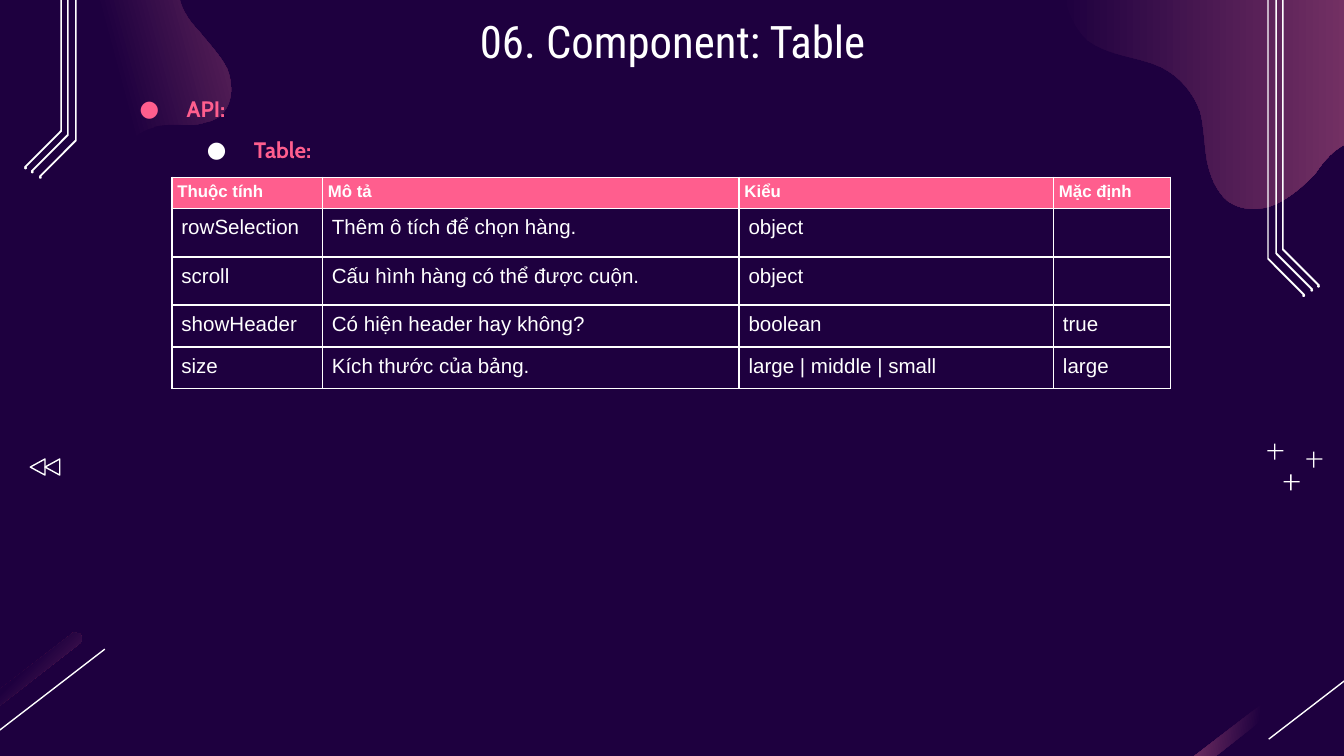
import pptx
import pptx.util
import pptx.oxml
import pptx.oxml.ns
import pptx.dml.color
import pptx.enum.shapes
import pptx.enum.text
from lxml import etree

Inches, Pt = pptx.util.Inches, pptx.util.Pt
qn = pptx.oxml.ns.qn
KIND = pptx.enum.shapes.MSO_SHAPE

THEME = {
    "back": "1E003F", "white": "FFFFFF", "pink": "FF5E8E", "glow": "A64D79",
    "title": ("Roboto Condensed", 24), "list": ("Cabin", 12),
    "head": ("Arial", 9), "body": ("Arial", 11), "line": 0.75, "border": 1,
}

TITLE = "06. Component: Table"
BULLETS = [("API:", "pink"), ("Table:", "white")]  # text, bullet colour
ROWS = [
    ("Thuộc tính", "Mô tả", "Kiểu", "Mặc định"),
    ("rowSelection", "Thêm ô tích để chọn hàng.", "object", ""),
    ("scroll", "Cấu hình hàng có thể được cuộn.", "object", ""),
    ("showHeader", "Có hiện header hay không?", "boolean", "true"),
    ("size", "Kích thước của bảng.", "large | middle | small", "large"),
]
WIDTHS = [1.12, 3.1, 2.34, 0.87]
HEIGHTS = [0.22, 0.36, 0.36, 0.31, 0.31]

# Outlines: a start point, then (x, y) for lines and six numbers for curves
LEFT_BLOB = [
    (0.48, 1.9), (0.74, 1.83, 0.86, 1.69, 0.9, 1.65),
    (0.98, 1.56, 1.01, 1.43, 0.99, 1.31), (0.98, 1.24, 0.95, 1.17, 0.97, 1.11),
    (0.98, 1.02, 1.06, 0.97, 1.14, 0.95), (1.15, 0.94, 1.15, 0.94, 1.16, 0.94),
    (1.24, 0.92, 1.33, 0.93, 1.42, 0.93), (1.46, 0.93, 1.5, 0.92, 1.53, 0.91),
    (1.58, 0.9, 1.63, 0.88, 1.66, 0.84), (1.74, 0.75, 1.73, 0.61, 1.69, 0.51),
    (1.64, 0.41, 1.55, 0.32, 1.48, 0.23), (1.4, 0.15, 1.33, 0.04, 1.33, -0.07),
    (1.33, -0.16, 1.36, -0.25, 1.43, -0.31), (1.47, -0.35, 1.53, -0.38, 1.59, -0.39),
    (1.68, -0.42, 1.79, -0.42, 1.9, -0.41), (2.01, -0.41, 2.12, -0.4, 2.23, -0.42),
    (2.25, -0.43, 2.26, -0.43, 2.28, -0.43), (2.37, -0.46, 2.46, -0.51, 2.52, -0.58),
    (2.59, -0.66, 2.61, -0.78, 2.58, -0.87), (2.56, -1.05, 2.44, -1.25, 2.33, -1.34),
    (2.15, -1.5, 1.9, -1.55, 1.67, -1.51), (1.66, -1.5, 1.65, -1.5, 1.64, -1.5),
    (1.29, -1.4, 1.03, -1.1, 0.7, -0.95), (0.65, -0.93, 0.59, -0.91, 0.54, -0.9),
    (0.22, -0.81, -0.13, -0.85, -0.47, -0.82), (-0.62, -0.81, -0.77, -0.78, -0.91, -0.74),
    (-1.04, -0.71, -1.16, -0.67, -1.28, -0.61), (-1.45, -0.54, -1.62, -0.44, -1.74, -0.3),
    (-1.86, -0.17, -1.95, 0.02, -1.94, 0.22), (-1.93, 0.46, -1.76, 0.68, -1.56, 0.8),
    (-1.35, 0.93, -1.12, 0.97, -0.88, 0.99), (-0.74, 1.01, -0.6, 1.01, -0.46, 1.06),
    (-0.32, 1.1, -0.19, 1.19, -0.13, 1.33), (-0.08, 1.44, -0.08, 1.55, -0.03, 1.66),
    (0.06, 1.84, 0.29, 1.95, 0.47, 1.9),
]
RIGHT_BLOB = [
    (11.25, 0.38), (11.25, 0.13, 11.18, -0.13, 11.05, -0.35),
    (10.94, -0.54, 10.78, -0.7, 10.58, -0.77), (10.36, -0.85, 10.12, -0.81, 9.89, -0.84),
    (9.67, -0.87, 9.45, -0.97, 9.29, -1.13), (9.18, -1.23, 9.09, -1.35, 8.97, -1.41),
    (8.83, -1.48, 8.67, -1.46, 8.52, -1.43), (8.4, -1.4, 8.28, -1.36, 8.19, -1.29),
    (8.03, -1.17, 7.96, -0.97, 7.93, -0.78), (7.9, -0.65, 7.89, -0.51, 7.89, -0.38),
    (7.89, -0.31, 7.89, -0.24, 7.9, -0.18), (7.91, 0, 7.96, 0.18, 8.09, 0.3),
    (8.25, 0.42, 8.47, 0.42, 8.64, 0.5), (8.78, 0.57, 8.88, 0.69, 8.93, 0.83),
    (8.96, 0.94, 8.96, 1.07, 8.98, 1.19), (9, 1.3, 9.05, 1.43, 9.14, 1.5),
    (9.24, 1.57, 9.38, 1.57, 9.49, 1.52), (9.6, 1.47, 9.69, 1.39, 9.78, 1.3),
    (9.83, 1.23, 9.88, 1.16, 9.95, 1.11), (10.02, 1.06, 10.1, 1.03, 10.18, 1.06),
    (10.33, 1.1, 10.38, 1.3, 10.52, 1.38), (10.85, 1.57, 11.08, 1.12, 11.17, 0.88),
    (11.22, 0.72, 11.25, 0.55, 11.25, 0.38),
]
STREAK = [
    (0.56, 4.71), (0.57, 4.71, 0.59, 4.71, 0.6, 4.72), (0.61, 4.75, 0.61, 4.78, 0.59, 4.79),
    (-0.81, 5.88), (-0.84, 5.89, -0.87, 5.89, -0.88, 5.87),
    (-0.9, 5.85, -0.9, 5.82, -0.87, 5.8), (0.53, 4.72), (0.54, 4.71, 0.55, 4.7, 0.56, 4.71),
]
RADIAL = '<a:path path="circle"><a:fillToRect r="100000" b="100000"/></a:path>'
STREAKS = [(0, RADIAL), (9.53, 187)]  # shift, gradient
RAILS = [(9.54, 1.86), (9.49, 1.89), (9.43, 1.93)]  # x, y of the bend
PLUSES = [(9.6, 3.58), (9.77, 3.41), (9.48, 3.35)]
ARROWS = [0.22, 0.33]


def color(name):
    return pptx.dml.color.RGBColor.from_string(THEME[name])


def style(par, kind, bold=False, tint="white"):
    for run in par.runs:
        run.font.name, size = THEME[kind]
        run.font.size, run.font.bold = Pt(size), bold
        run.font.color.rgb = color(tint)


def pad(frame, side, top):
    frame.margin_left = frame.margin_right = Inches(side)
    frame.margin_top = frame.margin_bottom = Inches(top)


def paint(item):
    item.shadow.inherit = False
    item.fill.solid()
    item.fill.fore_color.rgb = color("white")
    item.line.fill.background()
    return item


def blend(item, stops, way):
    """Fill with a gradient; way is an angle or the XML of a radial path."""
    if not isinstance(way, str):
        way = f'<a:lin ang="{way * 60000}" scaled="0"/>'
    marks = "".join(f'<a:gs pos="{pos * 1000}"><a:srgbClr val="{THEME[name]}"/></a:gs>'
                    for pos, name in stops)
    grad = pptx.oxml.parse_xml(
        f'<a:gradFill {pptx.oxml.ns.nsdecls("a")} rotWithShape="1">'
        f"<a:gsLst>{marks}</a:gsLst>{way}</a:gradFill>")
    old = item._element.spPr.find(qn("a:solidFill"))
    old.getparent().replace(old, grad)


def trace(path, steps=8):
    """Turn lines and cubic curves into a list of points."""
    pts = [path[0]]
    for part in path[1:]:
        if len(part) == 2:
            pts.append(part)
            continue
        ctrl = [pts[-1], part[:2], part[2:4], part[4:]]
        for n in range(1, steps + 1):
            t = n / steps
            mix = ((1 - t) ** 3, 3 * t * (1 - t) ** 2, 3 * t * t * (1 - t), t ** 3)
            pts.append(tuple(sum(m * c[k] for m, c in zip(mix, ctrl)) for k in (0, 1)))
    return pts


def outline(shapes, pts):
    pts = [(Inches(x), Inches(y)) for x, y in pts]
    pen = shapes.build_freeform(*pts[0])
    pen.add_line_segments(pts[1:], close=True)
    return paint(pen.convert_to_shape())


def preset(shapes, kind, *box):
    return paint(shapes.add_shape(kind, *map(Inches, box)))


def decorate(shapes):
    fade = [(0, "back"), (50, "back"), (100, "glow")]
    blend(outline(shapes, trace(LEFT_BLOB)), [(0, "back"), (58, "back"), (100, "glow")], 345)
    blend(outline(shapes, trace(RIGHT_BLOB)), [(0, "back"), (100, "glow")], 0)
    for dx, way in STREAKS:
        blend(outline(shapes, [(x + dx, y) for x, y in trace(STREAK)]), fade, way)
        ends = (0.78 + dx, 4.83, -0.09 + dx, 5.5)
        line = shapes.add_connector(pptx.enum.shapes.MSO_CONNECTOR.STRAIGHT, *map(Inches, ends))
        line.line.color.rgb, line.line.width = color("white"), Pt(THEME["line"])
        etree.SubElement(line._element.spPr, qn("a:effectLst"))
    for flip, dy in ((False, 0), (True, -0.88)):  # left rails mirror the right ones
        for x, y in RAILS:
            pts = [(x + 0.01, -1.19), (x, -1.19), (x, y), (x + 0.27, y + 0.27),
                   (x + 0.28, y + 0.26), (x + 0.01, y - 0.01)]
            outline(shapes, [(10 - a if flip else a, b + dy) for a, b in pts])
            mid = 10 - x - 0.27 if flip else x + 0.27
            preset(shapes, KIND.OVAL, mid - 0.01, y + 0.26 + dy, 0.02, 0.02)
    for x, y in PLUSES:
        preset(shapes, KIND.RECTANGLE, x, y - 0.05, 0.01, 0.12)
        preset(shapes, KIND.RECTANGLE, x - 0.05, y, 0.12, 0.01)
    for x in ARROWS:
        item = preset(shapes, KIND.ISOSCELES_TRIANGLE, x, 3.42, 0.12, 0.11)
        item.rotation = 270
        item.fill.background()
        item.line.color.rgb, item.line.width = color("white"), Pt(THEME["line"])


def add_title(shapes):
    box = shapes.title
    box.left, box.top, box.width, box.height = map(Inches, (0.79, 0, 8.43, 0.63))
    frame = box.text_frame
    frame.text = TITLE
    pad(frame, 0.1, 0.1)
    frame.vertical_anchor = pptx.enum.text.MSO_ANCHOR.TOP
    frame.paragraphs[0].alignment = pptx.enum.text.PP_ALIGN.CENTER
    style(frame.paragraphs[0], "title")


def add_list(shapes):
    frame = shapes.add_textbox(*map(Inches, (0.79, 0.51, 8.12, 0.73))).text_frame
    frame.word_wrap = True
    pad(frame, 0.1, 0.1)
    frame.text = "\n".join(text for text, _ in BULLETS)
    for level, (par, (_, tint)) in enumerate(zip(frame.paragraphs, BULLETS)):
        par.level, par.line_spacing = level, 1.5
        prop = par._p.get_or_add_pPr()
        prop.set("marL", str(Inches(0.5 * (level + 1))))
        prop.set("indent", str(Inches(-0.35)))
        mark = etree.SubElement(prop, qn("a:buClr"))
        etree.SubElement(mark, qn("a:srgbClr"), val=THEME[tint])
        etree.SubElement(prop, qn("a:buFont"), typeface=THEME["list"][0])
        etree.SubElement(prop, qn("a:buChar"), char="●")
        style(par, "list", True, "pink")


def add_grid(shapes):
    box = map(Inches, (1.28, 1.32, sum(WIDTHS), sum(HEIGHTS)))
    grid = shapes.add_table(len(ROWS), len(WIDTHS), *box).table
    grid.first_row = grid.horz_banding = False
    for col, width in zip(grid.columns, WIDTHS):
        col.width = Inches(width)
    for r, row in enumerate(ROWS):
        grid.rows[r].height = Inches(HEIGHTS[r])
        kind = "body" if r else "head"
        for c, text in enumerate(row):
            cell = grid.cell(r, c)
            cell.text = text
            pad(cell, *((0.07, 0.06) if r else (0.04, 0.04)))
            par = cell.text_frame.paragraphs[0]
            style(par, kind, r == 0)
            if not text:
                par._p.get_or_add_endParaRPr().set("sz", str(THEME[kind][1] * 100))
            prop = cell._tc.get_or_add_tcPr()
            for side in "LRTB":
                edge = etree.SubElement(prop, qn("a:ln" + side), w=str(Pt(THEME["border"])))
                ink = etree.SubElement(edge, qn("a:solidFill"))
                etree.SubElement(ink, qn("a:srgbClr"), val=THEME["white"])
            if r:
                cell.fill.background()
            else:
                cell.fill.solid()
                cell.fill.fore_color.rgb = color("pink")


def main():
    deck = pptx.Presentation()
    deck.slide_width = Inches(10)
    deck.slide_height = deck.slide_width * 9 // 16
    slide = deck.slides.add_slide(deck.slide_layouts[5])
    slide.background.fill.solid()
    slide.background.fill.fore_color.rgb = color("back")
    for draw in (decorate, add_list, add_title, add_grid):
        draw(slide.shapes)
    deck.save("out.pptx")


if __name__ == "__main__":
    main()
